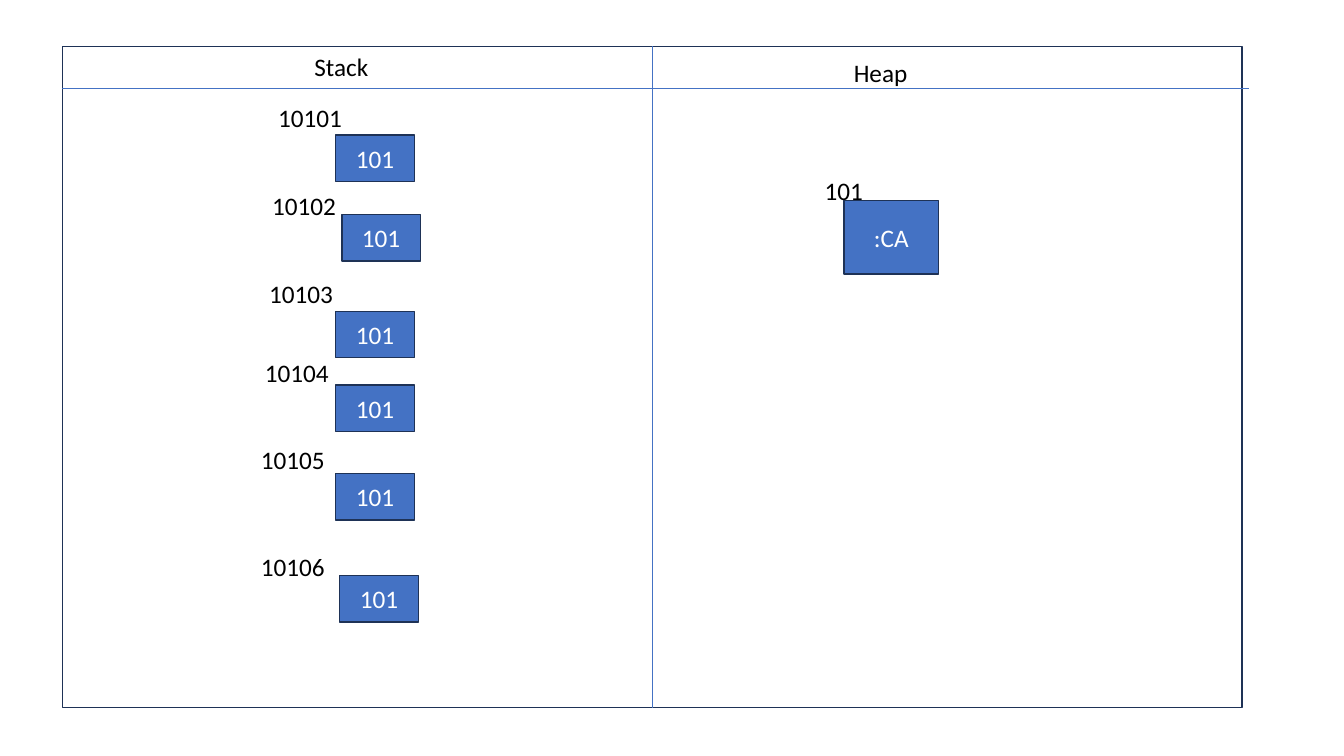
"""Builds a slide that shows six stack references to one heap object."""
import pptx
import pptx.dml.color
import pptx.enum.shapes
import pptx.enum.text
import pptx.oxml
import pptx.util

Inches = pptx.util.Inches
Pt = pptx.util.Pt
RGBColor = pptx.dml.color.RGBColor

BLUE = RGBColor(0x44, 0x72, 0xC4)
NAVY = RGBColor(0x1E, 0x32, 0x56)
BLACK = RGBColor(0x00, 0x00, 0x00)
WHITE = RGBColor(0xFF, 0xFF, 0xFF)

LEFT, TOP, WIDTH, HEIGHT = 0.62, 0.46, 11.7, 6.56
MIDDLE = LEFT + WIDTH / 2
HEADER_BOTTOM = 0.88
LABEL_HEIGHT = 0.4

STACK = [
    ("10101", 2.66, 0.97, 3.33, 1.34),
    ("10102", 2.6, 1.84, 3.39, 2.13),
    ("10103", 2.57, 2.71, 3.33, 3.09),
    ("10104", 2.53, 3.5, 3.33, 3.82),
    ("10105", 2.49, 4.36, 3.33, 4.7),
    ("10106", 2.49, 5.42, 3.37, 5.71),
]


class Diagram:
    def __init__(self, slide, font="Calibri", size=18):
        self.slide = slide
        self.font = font
        self.size = size

    def set_text(self, tf, text, color):
        tf.text = text
        for r in tf.paragraphs[0].runs:
            r.font.name = self.font
            r.font.size = Pt(self.size)
            r.font.color.rgb = color

    def box(self, x, y, w, h, text="", fill=None):
        sp = self.slide.shapes.add_shape(
            pptx.enum.shapes.MSO_SHAPE.RECTANGLE,
            Inches(x), Inches(y), Inches(w), Inches(h))
        sp.shadow.inherit = False
        sp.line.color.rgb = NAVY
        sp.line.width = Pt(1)
        if fill is None:
            sp.fill.background()
        else:
            sp.fill.solid()
            sp.fill.fore_color.rgb = fill
        if text:
            tf = sp.text_frame
            self.set_text(tf, text, WHITE)
            tf.vertical_anchor = pptx.enum.text.MSO_ANCHOR.MIDDLE
            tf.paragraphs[0].alignment = pptx.enum.text.PP_ALIGN.CENTER

    def line(self, x1, y1, x2, y2):
        cxn = self.slide.shapes.add_connector(
            pptx.enum.shapes.MSO_CONNECTOR.STRAIGHT,
            Inches(x1), Inches(y1), Inches(x2), Inches(y2))
        cxn.line.color.rgb = BLUE
        cxn.line.width = Pt(0.5)
        cxn.element.spPr.append(pptx.oxml.parse_xml(
            '<a:effectLst xmlns:a='
            '"http://schemas.openxmlformats.org/drawingml/2006/main"/>'))

    def label(self, x, y, w, text):
        sp = self.slide.shapes.add_textbox(
            Inches(x), Inches(y), Inches(w), Inches(LABEL_HEIGHT))
        tf = sp.text_frame
        self.set_text(tf, text, BLACK)
        tf.word_wrap = False
        tf.auto_size = pptx.enum.text.MSO_AUTO_SIZE.SHAPE_TO_FIT_TEXT


def main():
    prs = pptx.Presentation()
    prs.slide_width = Inches(13.33)
    prs.slide_height = Inches(7.5)
    diagram = Diagram(prs.slides.add_slide(prs.slide_layouts[6]))

    diagram.box(LEFT, TOP, WIDTH, HEIGHT)
    diagram.line(MIDDLE, TOP, MIDDLE, TOP + HEIGHT)
    diagram.line(LEFT, HEADER_BOTTOM, 12.39, HEADER_BOTTOM)
    diagram.label(3.02, 0.46, 0.74, "Stack")
    diagram.label(8.37, 0.52, 0.74, "Heap")

    diagram.box(8.37, 1.99, 0.94, 0.73, ":CA", BLUE)
    diagram.label(8.08, 1.69, 0.59, "101")

    for address, label_x, label_y, box_x, box_y in STACK:
        diagram.box(box_x, box_y, 0.78, 0.46, "101", BLUE)
        diagram.label(label_x, label_y, 0.84, address)

    prs.save("out.pptx")


if __name__ == "__main__":
    main()
